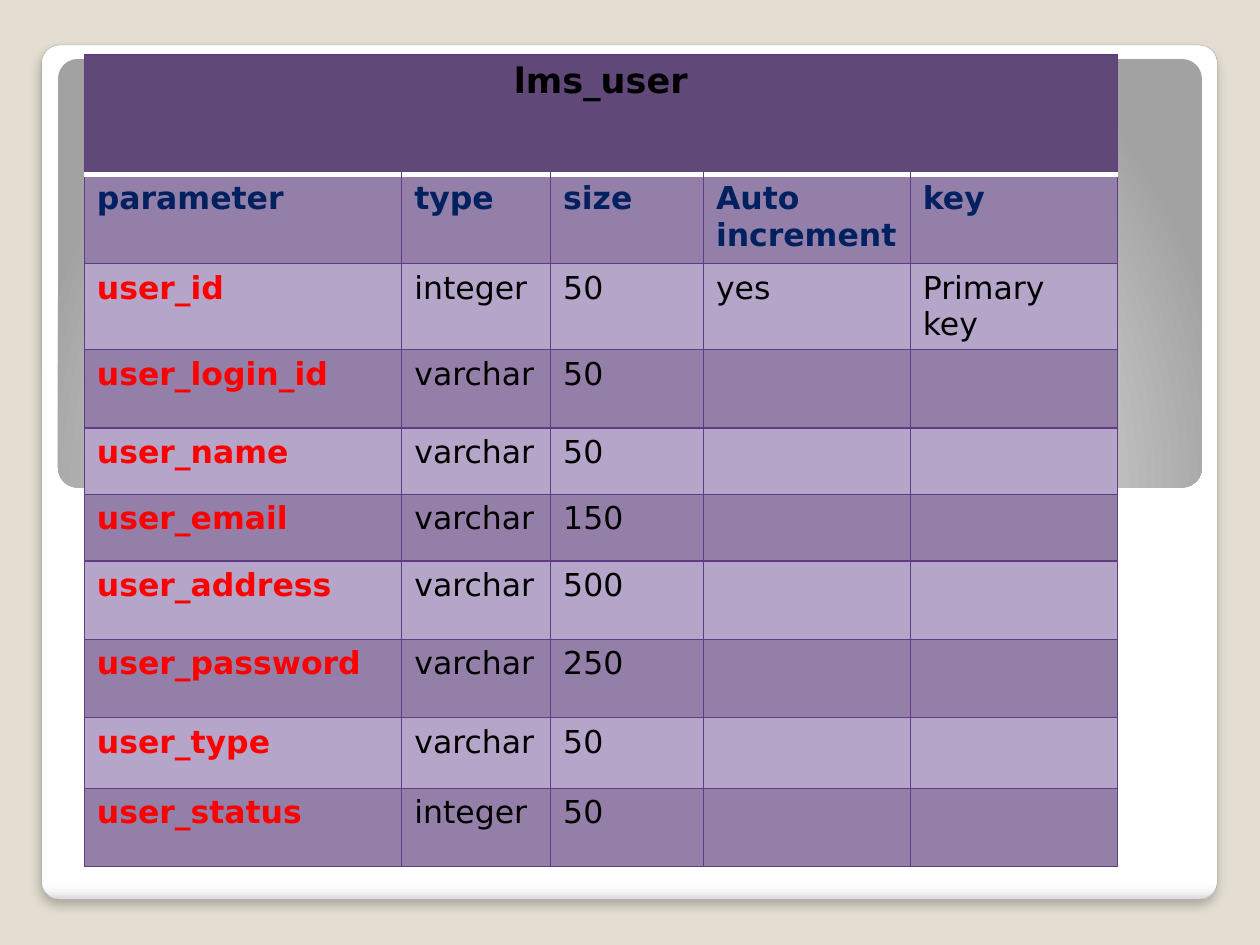
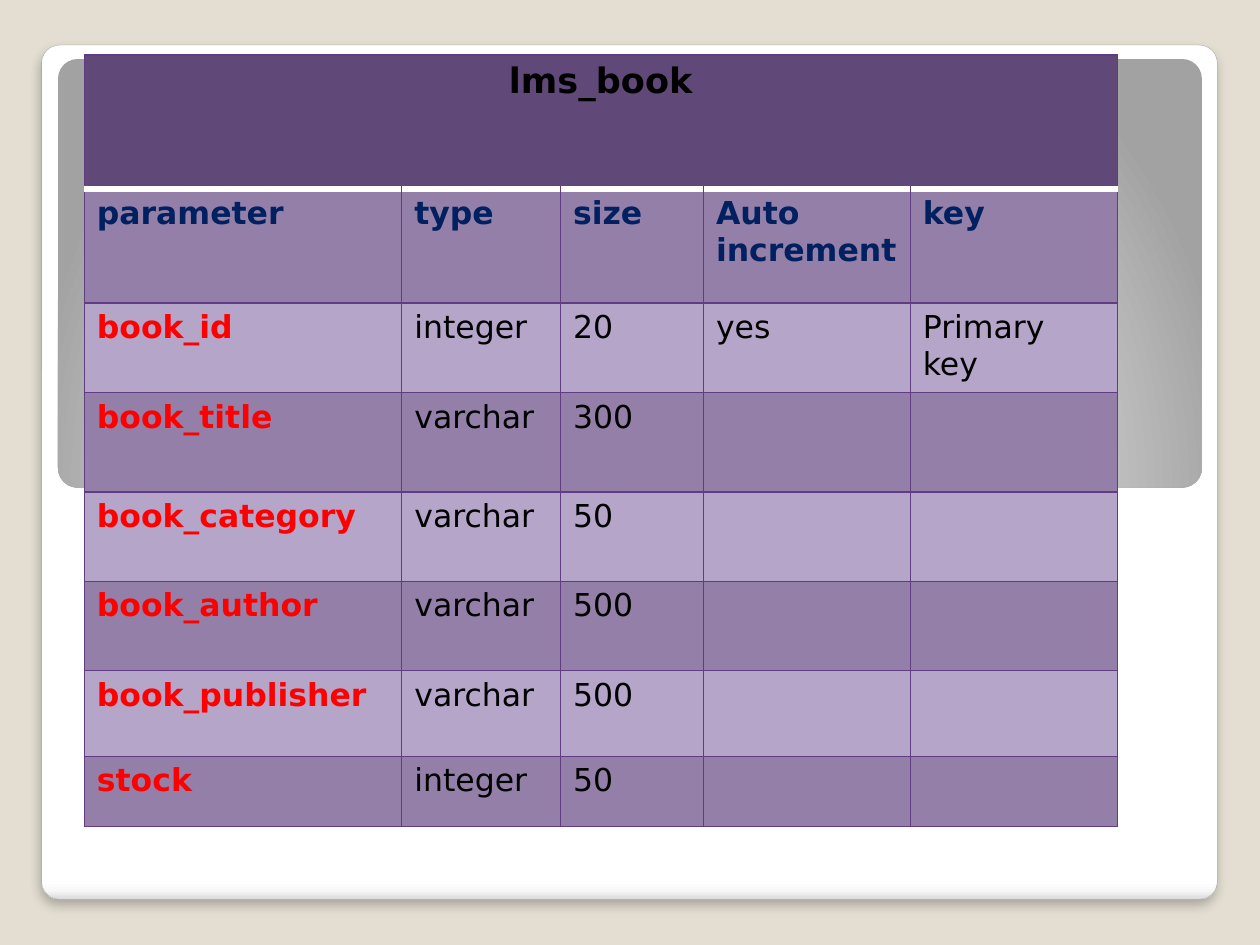
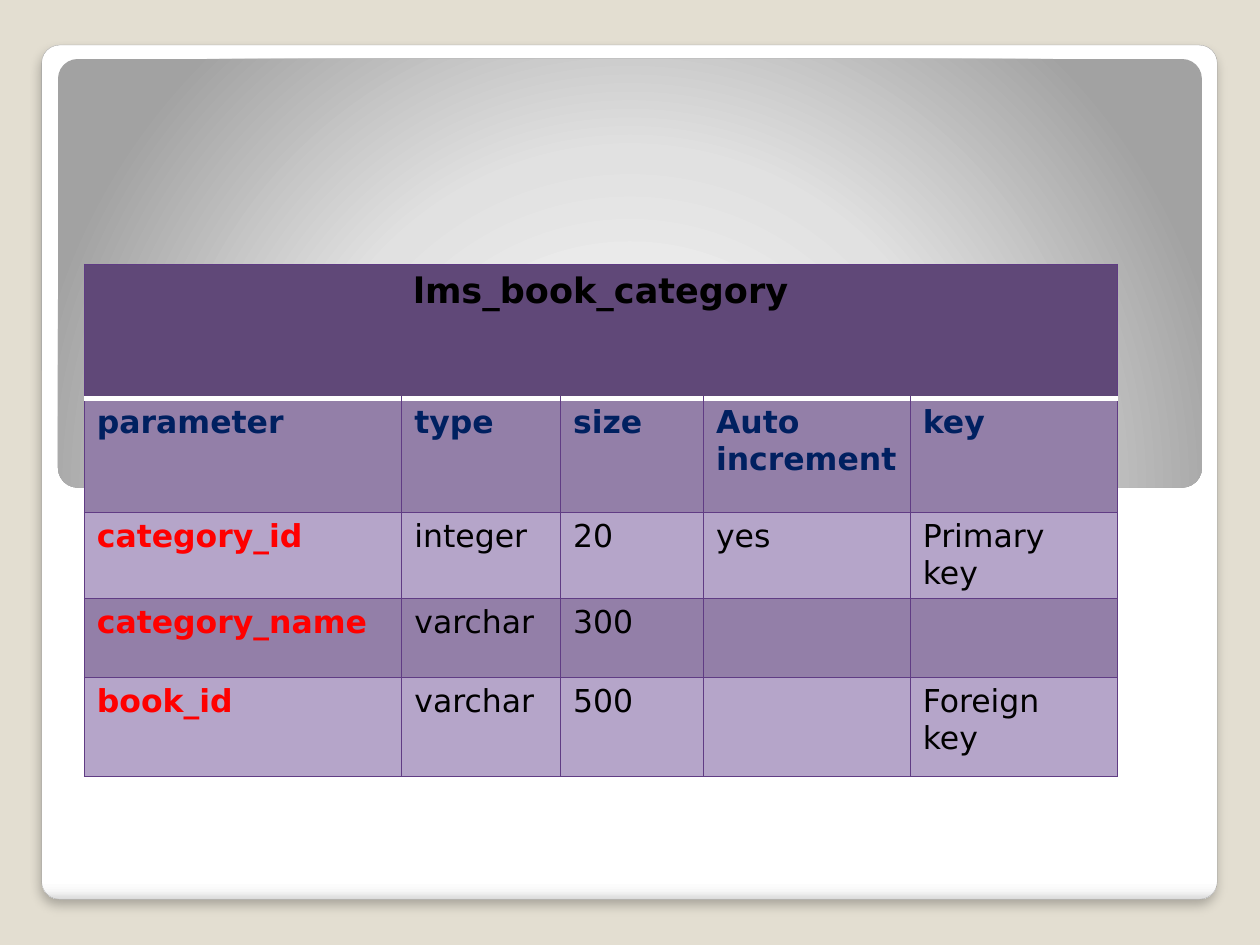
from lxml.etree import SubElement
from pptx import Presentation
from pptx.dml.color import RGBColor
from pptx.enum.shapes import MSO_SHAPE
from pptx.enum.text import PP_ALIGN
from pptx.oxml import parse_xml
from pptx.oxml.ns import nsdecls, qn
from pptx.util import Cm, Pt

FONT = "DejaVu Sans"
COLOURS = {
    "background": "E3DED1", "frame": "A4A4A4", "shadow": "000000",
    "title_band": "604878", "dark_row": "937FA8", "light_row": "B5A5C9",
    "grid": "603C84", "rule": "FFFFFF",
    "text": "000000", "heading": "002060", "field": "FF0000",
}

# Master look: a white card and a grey panel on it
PANELS = [
    {"box": (0.84, 0.91, 23.7, 17.22), "corner": 0.021, "framed": True,
     "stops": [(0, "FFFFFF"), (98, "FFFFFF"), (99, "F7F7F7"), (100, "DADADA")],
     "direction": '<a:lin ang="5400000" scaled="0"/>'},
    {"box": (1.17, 1.19, 23.06, 8.64), "corner": 0.046, "framed": False,
     "stops": [(0, "FFFFFF"), (55, "E1E1E1"), (100, "A2A2A2")],
     "direction": '<a:path path="circle"><a:fillToRect l="50000" t="175000" '
                  'r="50000" b="-75000"/></a:path>'},
]

# Database tables: columns and rows in cm, fields as name, type, size, auto, key
HEADINGS = ["parameter", "type", "size", "Auto increment", "key"]
SCHEMAS = [
    {"name": "lms_user", "top": 1.11, "columns": [6.4, 3, 3.08, 4.17, 4.17],
     "rows": [2.4, 1.81, 1.72, 1.58, 1.34, 1.34, 1.58, 1.58, 1.42, 1.58],
     "fields": [["user_id", "integer", "50", "yes", "Primary key"],
                ["user_login_id", "varchar", "50"],
                ["user_name", "varchar", "50"],
                ["user_email", "varchar", "150"],
                ["user_address", "varchar", "500"],
                ["user_password", "varchar", "250"],
                ["user_type", "varchar", "50"],
                ["user_status", "integer", "50"]]},
    {"name": "lms_book", "top": 1.11, "columns": [6.4, 3.2, 2.88, 4.17, 4.17],
     "rows": [2.7, 2.3, 1.81, 2, 1.8, 1.8, 1.73, 1.42],
     "fields": [["book_id", "integer", "20", "yes", "Primary key"],
                ["book_title", "varchar", "300"],
                ["book_category", "varchar", "50"],
                ["book_author", "varchar", "500"],
                ["book_publisher", "varchar", "500"],
                ["stock", "integer", "50"]]},
    {"name": "lms_book_category", "top": 5.33, "columns": [6.4, 3.2, 2.88, 4.17, 4.17],
     "rows": [2.7, 2.3, 1.72, 1.6, 2],
     "fields": [["category_id", "integer", "20", "yes", "Primary key"],
                ["category_name", "varchar", "300"],
                ["book_id", "varchar", "500", "", "Foreign key"]]},
]


def rgb(name):
    return RGBColor.from_string(COLOURS[name])


def add_border(cell, side, colour, points):
    line = SubElement(cell._tc.get_or_add_tcPr(), qn(f"a:ln{side}"), w=str(int(Pt(points))))
    fill = SubElement(line, qn("a:solidFill"))
    SubElement(fill, qn("a:srgbClr"), val=COLOURS[colour])


deck = Presentation()
deck.slide_width, deck.slide_height = Cm(25.4), Cm(19.05)

for schema in SCHEMAS:
    slide = deck.slides.add_slide(deck.slide_layouts[6])
    slide.background.fill.solid()
    slide.background.fill.fore_color.rgb = rgb("background")

    # Card and panel with gradients
    for panel in PANELS:
        shape = slide.shapes.add_shape(MSO_SHAPE.ROUNDED_RECTANGLE, *map(Cm, panel["box"]))
        shape.adjustments[0] = panel["corner"]
        shape.shadow.inherit = False
        shape.fill.background()
        properties = shape._element.spPr
        stops = "".join(f'<a:gs pos="{position * 1000}"><a:srgbClr val="{colour}"/></a:gs>'
                        for position, colour in panel["stops"])
        properties.replace(properties.find(qn("a:noFill")), parse_xml(
            f'<a:gradFill rotWithShape="1" {nsdecls("a")}><a:gsLst>{stops}</a:gsLst>'
            f'{panel["direction"]}</a:gradFill>'))
        if panel["framed"]:
            shape.line.color.rgb = rgb("frame")
            shape.line.width = Pt(0.16)
            shadow = SubElement(properties.find(qn("a:effectLst")), qn("a:outerShdw"),
                                blurRad=str(int(Pt(6))), dist=str(int(Pt(4))),
                                dir="5400000", algn="t", rotWithShape="0")
            tone = SubElement(shadow, qn("a:srgbClr"), val=COLOURS["shadow"])
            SubElement(tone, qn("a:alpha"), val="25000")
        else:
            shape.line.fill.background()

    # Table grid
    lines = [[schema["name"]], HEADINGS] + schema["fields"]
    grid = slide.shapes.add_table(
        len(lines), len(HEADINGS), Cm(1.7), Cm(schema["top"]),
        Cm(sum(schema["columns"])), Cm(sum(schema["rows"]))).table
    grid.first_row = grid.horz_banding = False
    for column, width in zip(grid.columns, schema["columns"]):
        column.width = Cm(width)
    for row, height in zip(grid.rows, schema["rows"]):
        row.height = Cm(height)
    grid.cell(0, 0).merge(grid.cell(0, len(HEADINGS) - 1))

    # Cells: title band, headings, then alternating field rows
    for r, values in enumerate(lines):
        band = "title_band" if r == 0 else "dark_row" if r % 2 else "light_row"
        for c in range(len(HEADINGS)):
            cell = grid.cell(r, c)
            for side in "LRTB":
                if (r, side) in [(0, "B"), (1, "T")]:
                    add_border(cell, side, "rule", 3.35)
                else:
                    add_border(cell, side, "grid", 0.75)
            cell.fill.solid()
            cell.fill.fore_color.rgb = rgb(band)
            if c >= len(values) or not values[c]:
                continue
            paragraph = cell.text_frame.paragraphs[0]
            paragraph.text = values[c]
            font = paragraph.runs[0].font
            font.name = FONT
            font.size = Pt(20 if r == 0 else 18)
            font.bold = r < 2 or c == 0
            ink = "heading" if r == 1 else "field" if r > 1 and c == 0 else "text"
            font.color.rgb = rgb(ink)
            if r == 0:
                paragraph.alignment = PP_ALIGN.CENTER

deck.save("out.pptx")
